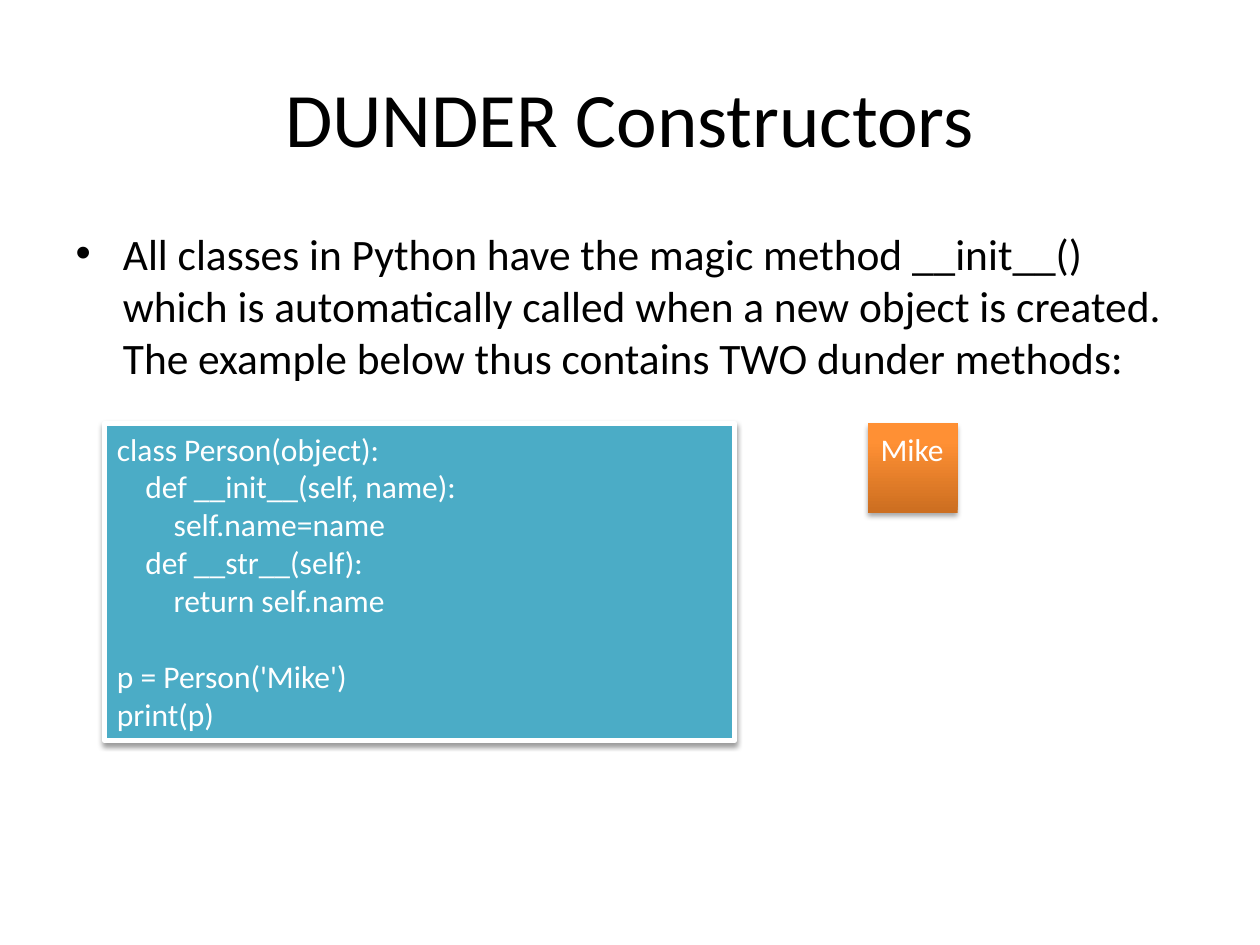
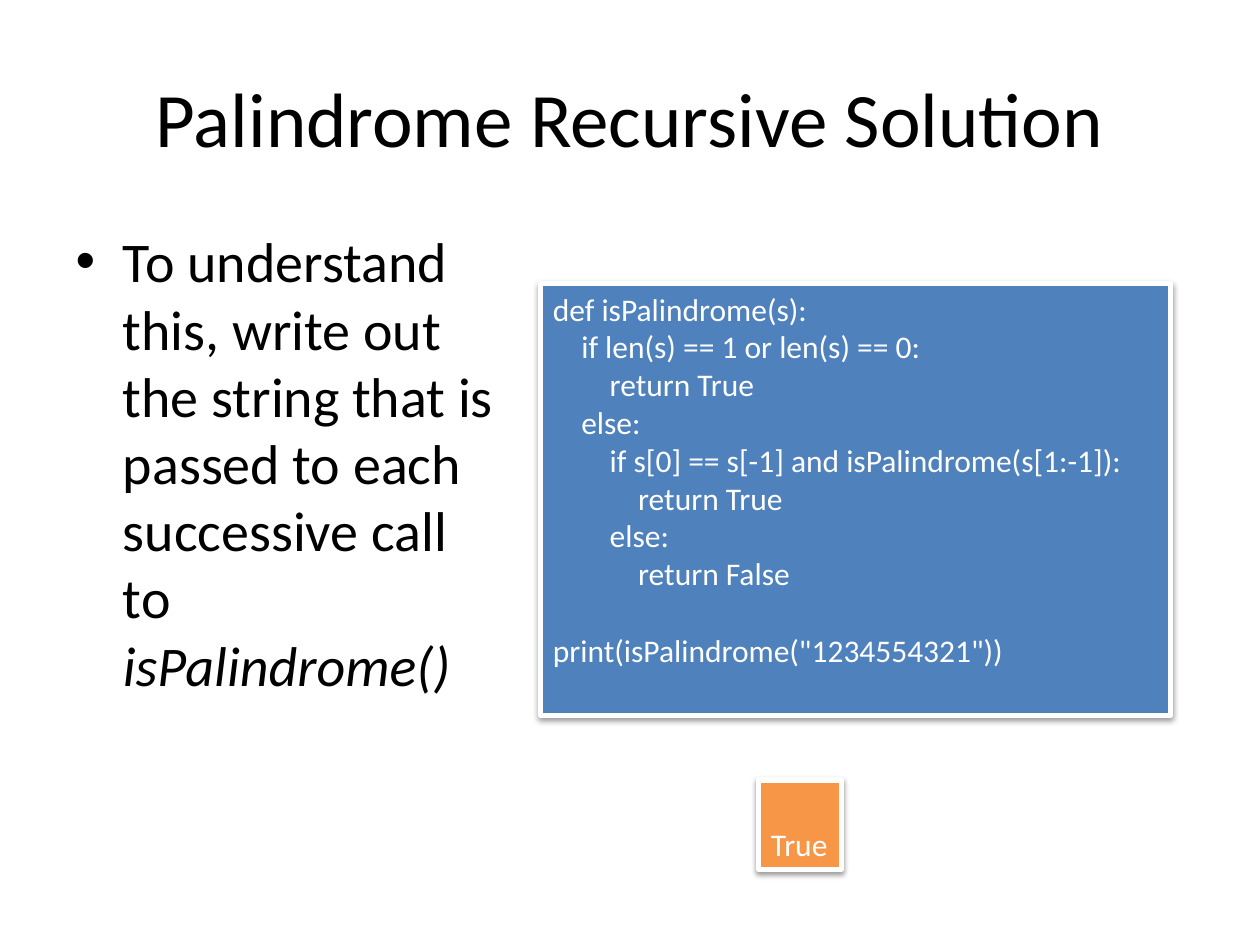
"""Build two teaching slides on dunder constructors and recursive palindromes."""

from dataclasses import dataclass
from typing import Optional

from lxml import etree
from pptx import Presentation
from pptx.dml.color import RGBColor
from pptx.enum.shapes import MSO_SHAPE as Shape
from pptx.enum.text import MSO_ANCHOR as Anchor, MSO_AUTO_SIZE as AutoSize, PP_ALIGN as Align
from pptx.oxml.ns import qn
from pptx.util import Inches, Pt


@dataclass(frozen=True)
class Theme:
    font: str = "Calibri"
    ink: str = "000000"
    paper: str = "FFFFFF"
    teal: str = "4BACC6"
    blue: str = "4F81BD"
    orange: str = "F79646"
    deep_orange: str = "CC6E20"
    bright_orange: str = "FF9034"
    title_size: float = 44
    code_size: float = 18
    blank_line: float = 22
    border: float = 3


@dataclass(frozen=True)
class Frame:
    left: float
    top: float
    width: float
    height: float


@dataclass(frozen=True)
class Panel:
    frame: Frame
    text: str
    fill: str
    gradient_end: Optional[str] = None
    anchor: Anchor = Anchor.TOP
    wrap: bool = True
    shadow_opacity: int = 38
    shadow_distance: float = 1.6


@dataclass(frozen=True)
class Lesson:
    title: str
    body: tuple[str, ...]
    body_frame: Frame
    body_size: float
    panels: tuple[Panel, ...]


THEME = Theme()
TITLE_FRAME = Frame(0.5, 0.3, 9, 1.25)

PERSON_CODE = """class Person(object):
    def __init__(self, name):
        self.name=name
    def __str__(self):
        return self.name

p = Person('Mike')
print(p)"""

PALINDROME_CODE = """def isPalindrome(s):
    if len(s) == 1 or len(s) == 0:
        return True
    else:
        if s[0] == s[-1] and isPalindrome(s[1:-1]):
            return True
        else:
            return False

print(isPalindrome("1234554321"))"""

LESSONS = (
    Lesson(
        "DUNDER Constructors",
        ("All classes in Python have the magic method __init__() which is automatically called "
         "when a new object is created. The example below thus contains TWO dunder methods:",),
        Frame(0.5, 1.75, 9, 1.29),
        24.8,
        (
            Panel(Frame(0.83, 3.36, 5, 2.52), PERSON_CODE, THEME.teal),
            Panel(Frame(6.89, 3.36, 0.71, 0.71), "Mike", THEME.bright_orange, THEME.deep_orange,
                  wrap=False, shadow_opacity=35, shadow_distance=1.8),
        ),
    ),
    Lesson(
        "Palindrome Recursive Solution",
        ("To understand this, write out the string that is passed to each successive call to ",
         "isPalindrome()"),
        Frame(0.5, 1.75, 3.63, 4.95),
        32,
        (
            Panel(Frame(4.29, 2.25, 5, 3.43), PALINDROME_CODE, THEME.blue),
            Panel(Frame(6.02, 6.19, 0.66, 0.71), "True", THEME.orange,
                  anchor=Anchor.BOTTOM, wrap=False),
        ),
    ),
)


def place(box, frame: Frame) -> None:
    box.left, box.top = Inches(frame.left), Inches(frame.top)
    box.width, box.height = Inches(frame.width), Inches(frame.height)


def style(span, size: float, colour: str) -> None:
    span.font.name = THEME.font
    span.font.size = Pt(size)
    span.font.color.rgb = RGBColor.from_string(colour)


def add_shadow(box, opacity: int, distance: float) -> None:
    box.shadow.inherit = False
    effects = box._element.spPr.find(qn("a:effectLst"))
    shadow = etree.SubElement(effects, qn("a:outerShdw"), blurRad=str(Pt(3.1)),
                              dist=str(Pt(distance)), dir="5400000", rotWithShape="0")
    colour = etree.SubElement(shadow, qn("a:srgbClr"), val=THEME.ink)
    etree.SubElement(colour, qn("a:alpha"), val=str(opacity * 1000))


def paint(box, panel: Panel) -> None:
    if panel.gradient_end is None:
        box.fill.solid()
        box.fill.fore_color.rgb = RGBColor.from_string(panel.fill)
        box.line.color.rgb = RGBColor.from_string(THEME.paper)
        box.line.width = Pt(THEME.border)
        return
    box.line.fill.background()
    box.fill.gradient()
    box.fill.gradient_angle = 90
    colours = (panel.gradient_end, panel.fill)
    for stop, colour, position in zip(box.fill.gradient_stops, colours, (0, 0.8)):
        stop.color.rgb = RGBColor.from_string(colour)
        stop.position = position


def add_panel(page, panel: Panel) -> None:
    frame = panel.frame
    box = page.shapes.add_shape(Shape.RECTANGLE, Inches(frame.left), Inches(frame.top),
                                Inches(frame.width), Inches(frame.height))
    paint(box, panel)
    add_shadow(box, panel.shadow_opacity, panel.shadow_distance)
    text_frame = box.text_frame
    text_frame.word_wrap = panel.wrap
    text_frame.vertical_anchor = panel.anchor
    blocks = [block.split("\n") for block in panel.text.split("\n\n")]
    text_frame.text = "\n".join(line for block in blocks for line in block)
    for para in text_frame.paragraphs:
        para.alignment = Align.LEFT
        for span in para.runs:
            style(span, THEME.code_size, THEME.paper)
    start = 0
    for block in blocks[:-1]:
        start += len(block)
        text_frame.paragraphs[start].space_before = Pt(THEME.blank_line)


def add_title(page, text: str) -> None:
    title = page.shapes.title
    place(title, TITLE_FRAME)
    title.text_frame.text = text
    title.text_frame.vertical_anchor = Anchor.MIDDLE
    para = title.text_frame.paragraphs[0]
    para.alignment = Align.CENTER
    style(para.runs[0], THEME.title_size, THEME.ink)


def add_body(page, lesson: Lesson) -> None:
    body = page.placeholders[1]
    place(body, lesson.body_frame)
    body.text_frame.auto_size = AutoSize.NONE
    para = body.text_frame.paragraphs[0]
    para.space_before = Pt(0)
    for index, text in enumerate(lesson.body):
        span = para.add_run()
        span.text = text
        style(span, lesson.body_size, THEME.ink)
        if index:
            span.font.italic = True


def main() -> None:
    deck = Presentation()
    deck.slide_width, deck.slide_height = Inches(10), Inches(7.5)
    for lesson in LESSONS:
        page = deck.slides.add_slide(deck.slide_layouts[1])
        add_title(page, lesson.title)
        add_body(page, lesson)
        for panel in lesson.panels:
            add_panel(page, panel)
    deck.save("out.pptx")


if __name__ == "__main__":
    main()
